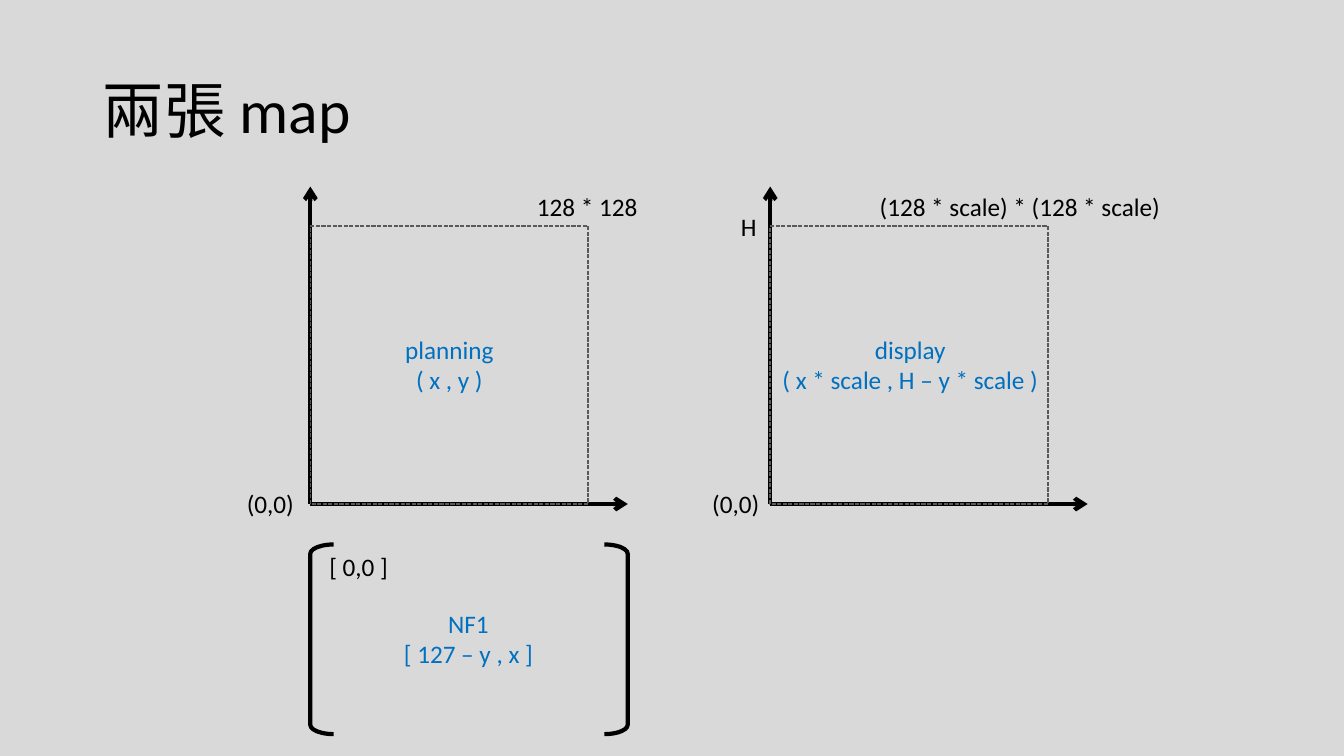
from lxml import etree
from pptx import Presentation
from pptx.dml.color import RGBColor
from pptx.enum import dml, shapes, text
from pptx.oxml import ns
from pptx.util import Cm, Pt

COLORS = {"background": "D9D9D9", "ink": "000000", "guide": "595959", "accent": "0070C0"}
FONT = "Calibri"
LEFT_PLOT, RIGHT_PLOT = 7.82, 19.41
AXIS_TOP, ORIGIN_Y = 4.7, 12.7
AXIS_LENGTH, MAP_SIDE = 8, 7
BRACKET_TOP, BRACKET_WIDTH, BRACKET_HEIGHT = 13.72, 0.59, 4.78


def style_line(line, color, width):
    line.color.rgb = RGBColor.from_string(COLORS[color])
    line.width = Pt(width)


def add_label(group, words, left, top, width, centered=False):
    height = 1.8 if centered else 1.02
    box = group.shapes.add_textbox(Cm(left), Cm(top), Cm(width), Cm(height))
    frame = box.text_frame
    frame.text = words
    frame.word_wrap = centered
    frame.auto_size = text.MSO_AUTO_SIZE.SHAPE_TO_FIT_TEXT
    for para in frame.paragraphs:
        para.alignment = text.PP_ALIGN.CENTER if centered else text.PP_ALIGN.LEFT
        for span in para.runs:
            span.font.name = FONT
            span.font.size = Pt(18)
            span.font.color.rgb = RGBColor.from_string(COLORS["accent" if centered else "ink"])


deck = Presentation()
deck.slide_width, deck.slide_height = Cm(33.87), Cm(19.05)
page = deck.slides.add_slide(deck.slide_layouts[5])
page.background.fill.solid()
page.background.fill.fore_color.rgb = RGBColor.from_string(COLORS["background"])

title = page.shapes.title
title.left, title.top, title.width, title.height = Cm(2.33), Cm(1.01), Cm(29.21), Cm(3.68)
title.text_frame.text = "兩張 map"
title.text_frame.vertical_anchor = text.MSO_ANCHOR.MIDDLE
para = title.text_frame.paragraphs[0]
para.alignment = text.PP_ALIGN.LEFT
para.line_spacing = 0.9
span = para.runs[0]
span.font.name = FONT
span.font.size = Pt(44)
span.font.color.rgb = RGBColor.from_string(COLORS["ink"])

plots = [
    (LEFT_PLOT, ("planning\n( x , y )", 9.7, 8.3, 3.25), [
        ("128 * 128", 13.28, 4.7, 3.07),
        ("(0,0)", 5.97, 12.19, 1.73),
    ]),
    (RIGHT_PLOT, ("display\n( x * scale , H – y * scale )", 19.41, 8.3, 7.06), [
        ("H", 18.42, 5.2, 0.91),
        ("(128 * scale) * (128 * scale)", 21.92, 4.7, 7.67),
        ("(0,0)", 17.7, 12.19, 1.73),
    ]),
]
for left, caption, labels in plots:
    plot = page.shapes.add_group_shape()
    for end_x, end_y in [(left, AXIS_TOP), (left + AXIS_LENGTH, ORIGIN_Y)]:
        axis = plot.shapes.add_connector(
            shapes.MSO_CONNECTOR.STRAIGHT, Cm(left), Cm(ORIGIN_Y), Cm(end_x), Cm(end_y))
        style_line(axis.line, "ink", 3)
        etree.SubElement(axis.line._get_or_add_ln(), ns.qn("a:tailEnd"), type="arrow")
        etree.SubElement(axis._element.spPr, ns.qn("a:effectLst"))
    area = plot.shapes.add_shape(
        shapes.MSO_SHAPE.RECTANGLE, Cm(left), Cm(ORIGIN_Y - MAP_SIDE), Cm(MAP_SIDE), Cm(MAP_SIDE))
    area.shadow.inherit = False
    area.fill.background()
    style_line(area.line, "guide", 1)
    area.line.dash_style = dml.MSO_LINE.SQUARE_DOT
    add_label(plot, *caption, centered=True)
    for label in labels:
        add_label(plot, *label)

matrix = page.shapes.add_group_shape()
for kind, left in [
    (shapes.MSO_SHAPE.LEFT_BRACKET, LEFT_PLOT),
    (shapes.MSO_SHAPE.RIGHT_BRACKET, LEFT_PLOT + AXIS_LENGTH - BRACKET_WIDTH),
]:
    bracket = matrix.shapes.add_shape(
        kind, Cm(left), Cm(BRACKET_TOP), Cm(BRACKET_WIDTH), Cm(BRACKET_HEIGHT))
    bracket.adjustments[0] = 0.4
    bracket.shadow.inherit = False
    bracket.fill.background()
    style_line(bracket.line, "ink", 3)
add_label(matrix, "NF1\n[ 127 – y , x ]", 9.75, 15.21, 4.11, centered=True)
add_label(matrix, "[ 0,0 ]", 8.05, 13.77, 2.01)

deck.save("out.pptx")
